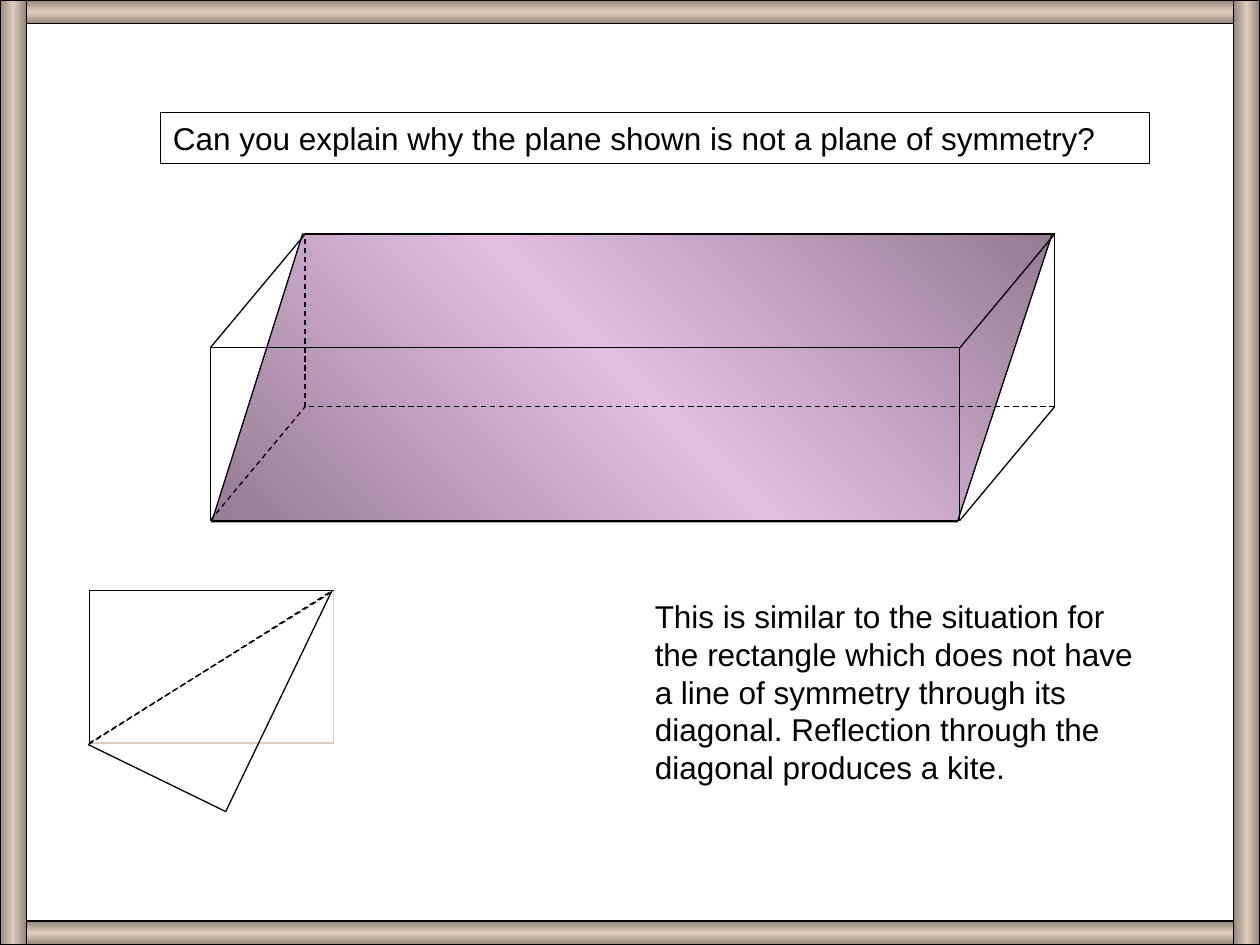
from copy import deepcopy

from lxml.etree import SubElement
from pptx import Presentation
from pptx.dml.color import RGBColor
from pptx.enum.dml import MSO_LINE_DASH_STYLE as Dash
from pptx.enum.shapes import MSO_CONNECTOR as Connector, MSO_SHAPE as Shape
from pptx.enum.text import MSO_ANCHOR as Anchor, MSO_AUTO_SIZE as AutoSize, PP_ALIGN as Align
from pptx.oxml.ns import qn
from pptx.util import Cm, Pt

BLACK = RGBColor(0x00, 0x00, 0x00)
TAN = RGBColor(0xDE, 0xCC, 0xBC)
DARK_TAN = RGBColor(0x92, 0x86, 0x7C)
LILAC = RGBColor(0xE1, 0xBD, 0xE0)
DARK_LILAC = RGBColor(0x94, 0x7C, 0x93)

WIDTH, HEIGHT = 25.4, 19.05
RAIL, POST = 0.48, 0.53

QUESTION = "Can you explain why the plane shown is not a plane of symmetry?"
QUESTION_BOX = (3.23, 2.27, 19.94, 1.02)
ANSWER = (
    "This is similar to the situation for the rectangle which does not have "
    "a line of symmetry through its diagonal. Reflection through the diagonal "
    "produces a kite."
)
ANSWER_BOX = (12.95, 11.91, 10.21, 4.06)

FRAME = [
    ((0, 0, WIDTH, RAIL), 90),
    ((0, HEIGHT - RAIL, WIDTH, RAIL), 90),
    ((0, 0, POST, HEIGHT), 180),
    ((WIDTH - POST, 0, POST, HEIGHT), 180),
]
PLANE = [(4.27, 10.52), (19.3, 10.52), (21.21, 4.72), (6.1, 4.72)]
CUBOID_FRONT = (4.24, 7.01, 15.11, 3.48)
DEPTH_X, DEPTH_Y = 1.91, -2.29
RECTANGLE = (1.8, 11.91, 4.93, 3.07)
KITE_TOP, KITE_TIP, KITE_LEFT = (6.69, 11.91), (4.55, 16.36), (1.78, 15.01)
TEXT_FORMAT = {"name": "Arial", "size": Pt(18), "bold": False}


def corners(box):
    left, top, width, height = box
    return [(left, top), (left + width, top), (left + width, top + height), (left, top + height)]


def outline(shape, color=BLACK):
    shape.line.color.rgb = color
    shape.line.width = Pt(0.75)


def add_rectangle(slide, box, color=BLACK):
    shape = slide.shapes.add_shape(Shape.RECTANGLE, *map(Cm, box))
    shape.shadow.inherit = False
    shape.fill.background()
    outline(shape, color)
    return shape


def fill_gradient(shape, edge, middle, angle):
    shape.fill.gradient()
    shape.fill.gradient_angle = 360 - angle
    first = shape._element.spPr.find(".//" + qn("a:gs"))
    first.addnext(deepcopy(first))
    for stop, color, position in zip(shape.fill.gradient_stops, (edge, middle, edge), (0, 0.5, 1)):
        stop.color.rgb = color
        stop.position = position


def add_line(slide, start, end, dashed=False):
    line = slide.shapes.add_connector(Connector.STRAIGHT, *map(Cm, start + end))
    outline(line)
    if dashed:
        line.line.dash_style = Dash.DASH
    SubElement(line._element.spPr, qn("a:effectLst"))


def write_text(shape, text, anchor):
    frame = shape.text_frame
    frame.text = text
    frame.word_wrap = True
    frame.auto_size = AutoSize.NONE
    frame.vertical_anchor = anchor
    paragraph = frame.paragraphs[0]
    paragraph.alignment = Align.LEFT
    paragraph.space_before = Pt(0)
    for name, value in TEXT_FORMAT.items():
        setattr(paragraph.font, name, value)
    paragraph.font.color.rgb = BLACK


def draw_frame(slide):
    for box, angle in FRAME:
        fill_gradient(add_rectangle(slide, box), DARK_TAN, TAN, angle)


def draw_cuboid(slide):
    points = [(Cm(x), Cm(y)) for x, y in PLANE]
    builder = slide.shapes.build_freeform(*points[0])
    builder.add_line_segments(points[1:], close=True)
    plane = builder.convert_to_shape()
    plane.shadow.inherit = False
    fill_gradient(plane, DARK_LILAC, LILAC, 135)
    outline(plane)

    add_rectangle(slide, CUBOID_FRONT)
    front = corners(CUBOID_FRONT)
    back = [(x + DEPTH_X, y + DEPTH_Y) for x, y in front]
    hidden = back[3]
    edges = list(zip(front, back)) + list(zip(back, back[1:] + back[:1]))
    for start, end in edges:
        add_line(slide, start, end, dashed=hidden in (start, end))


def draw_kite(slide):
    add_rectangle(slide, RECTANGLE, TAN)
    top_left, top_right, _, bottom_left = corners(RECTANGLE)
    add_line(slide, top_right, top_left)
    add_line(slide, top_left, bottom_left)
    add_line(slide, bottom_left, top_right, dashed=True)
    add_line(slide, KITE_TOP, KITE_TIP)
    add_line(slide, KITE_TIP, KITE_LEFT)
    add_line(slide, KITE_LEFT, KITE_TOP, dashed=True)


def main():
    presentation = Presentation()
    presentation.slide_width, presentation.slide_height = Cm(WIDTH), Cm(HEIGHT)
    slide = presentation.slides.add_slide(presentation.slide_layouts.get_by_name("Title Only"))

    draw_frame(slide)
    draw_cuboid(slide)
    title = slide.shapes.title
    title.left, title.top, title.width, title.height = map(Cm, QUESTION_BOX)
    write_text(title, QUESTION, Anchor.MIDDLE)
    outline(title)
    draw_kite(slide)
    answer = slide.shapes.add_textbox(*map(Cm, ANSWER_BOX))
    write_text(answer, ANSWER, Anchor.TOP)

    presentation.save("out.pptx")


if __name__ == "__main__":
    main()
